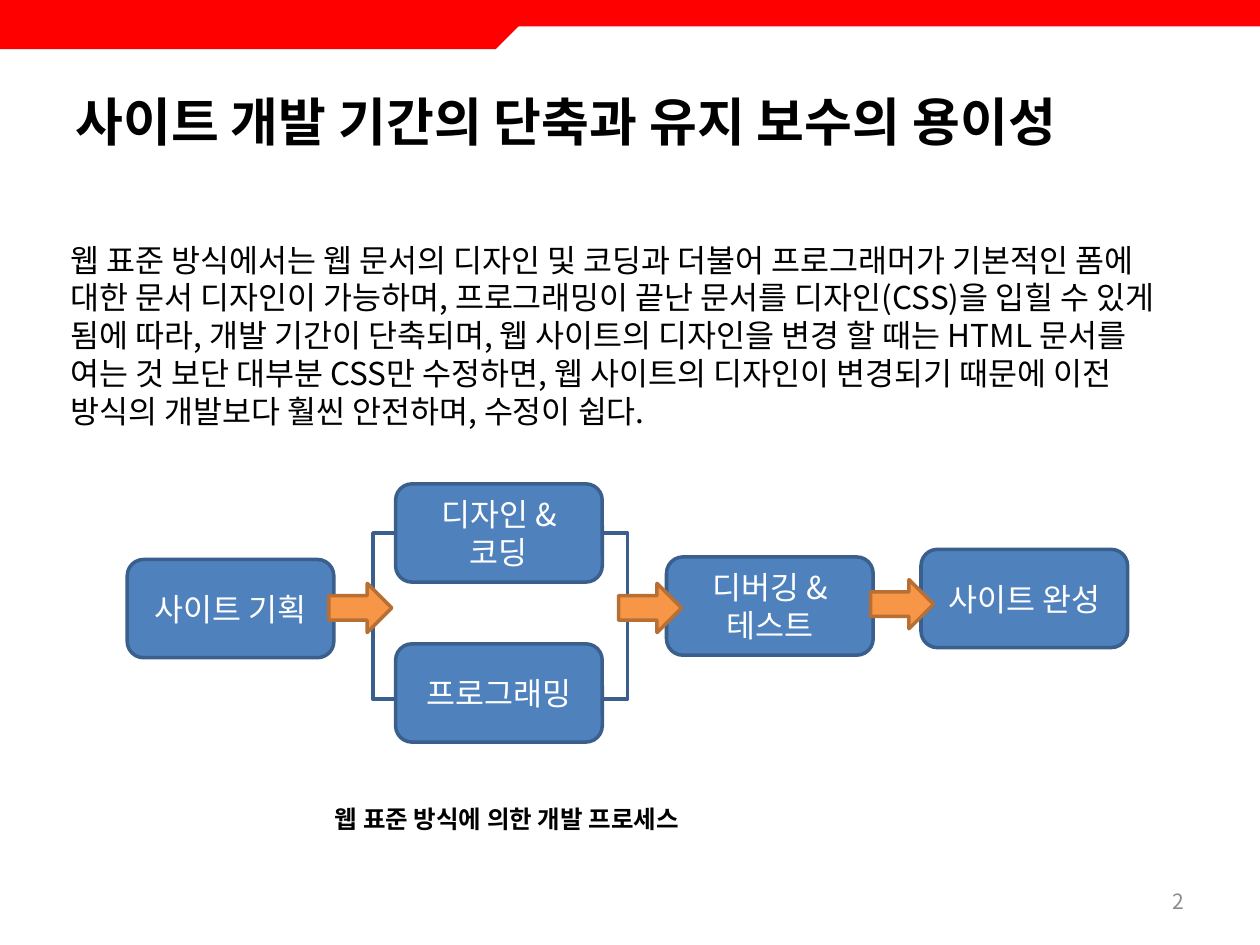
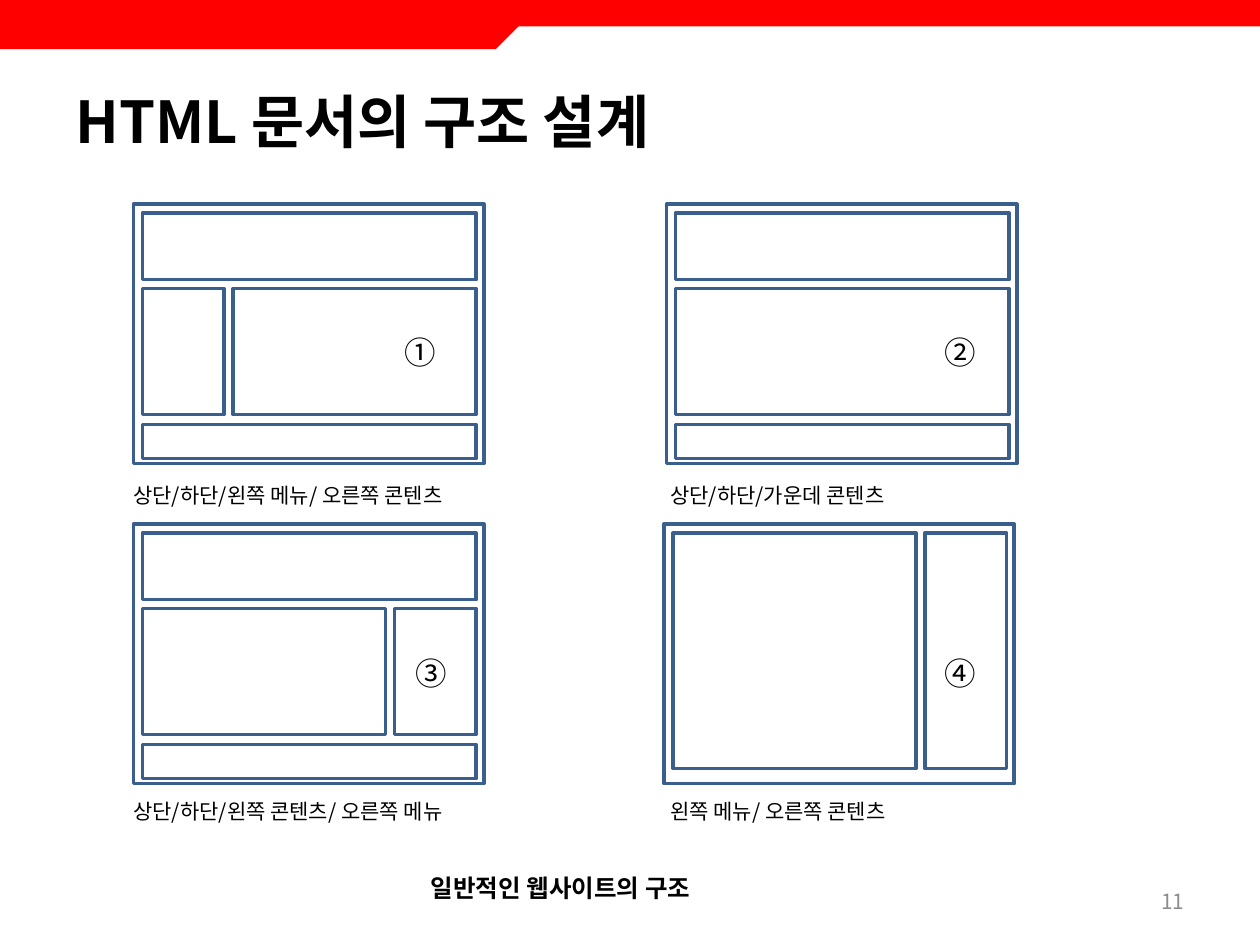
"""Build two slides on web-standard development and HTML page structure."""
from dataclasses import dataclass
from typing import NamedTuple, Optional

from lxml.etree import SubElement
from pptx import Presentation
from pptx.dml.color import RGBColor
from pptx.enum.shapes import MSO_SHAPE as Shape
from pptx.enum.text import MSO_ANCHOR as Anchor, MSO_AUTO_SIZE as AutoSize, PP_ALIGN as Align
from pptx.oxml.ns import qn
from pptx.util import Inches, Pt

CELL = 0.1
COLUMNS, ROWS = 100, 75


@dataclass(frozen=True)
class Theme:
    font: str = "Noto Sans CJK KR"
    band: str = "FF0000"
    ink: str = "000000"
    paper: str = "FFFFFF"
    muted: str = "8C8C8C"
    step: str = "4F81BD"
    outline: str = "3A5F8C"
    arrow: str = "F79646"
    arrow_outline: str = "B76F34"
    stroke: float = 2
    body: float = 18
    caption: float = 14
    small: float = 12


class Area(NamedTuple):
    col: float
    row: float
    cols: float
    rows: float

    def lengths(self) -> list:
        return [Inches(round(cells * CELL, 2)) for cells in self]


class Style(NamedTuple):
    size: float
    color: str
    bold: bool = False
    align: Align = Align.LEFT
    anchor: Anchor = Anchor.TOP


class Label(NamedTuple):
    text: str
    area: Area


class Wireframe(NamedTuple):
    col: float
    row: float
    panes: list
    number: Label
    caption: Label


THEME = Theme()
BODY = Style(THEME.body, THEME.ink)
SMALL = Style(THEME.small, THEME.ink)
CAPTION = Style(THEME.caption, THEME.ink, True)
CENTERED_CAPTION = CAPTION._replace(align=Align.CENTER)
STEP = Style(THEME.body, THEME.paper, False, Align.CENTER, Anchor.MIDDLE)
PAGE = Style(THEME.small, THEME.muted, False, Align.RIGHT, Anchor.MIDDLE)

TITLE_AREA = Area(5, 6, 90, 7.1)
PAGE_AREA = Area(71.7, 69.5, 23.3, 4)
TOP_BAND = Area(0, 0, COLUMNS, 2.1)
TAB_BAND = Area(0, 0, 41.3, 3.9)

STEP_COLS, STEP_ROWS = 16.4, 7.8
STEPS = [
    ("사이트 기획", 10.1, 44.4),
    ("디자인 & 코딩", 31.4, 38.4),
    ("프로그래밍", 31.4, 51.1),
    ("디버깅 & 테스트", 52.9, 44.2),
    ("사이트 완성", 73.1, 43.6),
]
ARROWS = [(26.1, 46.3), (49.1, 46.3), (69.1, 46)]
PARALLEL_LOOP = Area(29.6, 42.3, 20.2, 13.2)
EXPLANATION = Label(
    "웹 표준 방식에서는 웹 문서의 디자인 및 코딩과 더불어 프로그래머가 기본적인 폼에 "
    "대한 문서 디자인이 가능하며, 프로그래밍이 끝난 문서를 디자인(CSS)을 입힐 수 있게 "
    "됨에 따라, 개발 기간이 단축되며, 웹 사이트의 디자인을 변경 할 때는 HTML 문서를 여는 "
    "것 보단 대부분 CSS만 수정하면, 웹 사이트의 디자인이 변경되기 때문에 이전 방식의 "
    "개발보다 훨씬 안전하며, 수정이 쉽다.",
    Area(4.6, 18.6, 90.4, 16.2),
)

GAP = 0.7
FRAME_COLS, FRAME_ROWS = 27.8, 20.6
INNER = 26.5
MENU = 6.5
CONTENT = INNER - MENU - GAP
MIDDLE_ROW = 6.7
HEADER = Area(GAP, GAP, INNER, 5.3)
FOOTER = Area(GAP, 17.5, INNER, 2.7)


def split(row: float, rows: float, *widths: float) -> list[Area]:
    """Lay panes of the given widths side by side inside a frame."""
    panes, col = [], GAP
    for width in widths:
        panes.append(Area(col, row, width, rows))
        col += width + GAP
    return panes


def caption_at(text: str, col: float, row: float) -> Label:
    """Place a wireframe caption."""
    return Label(text, Area(col, row, 29.9, 3))


def number_at(text: str, col: float, row: float) -> Label:
    """Place a wireframe number."""
    return Label(text, Area(col, row, 4.7, 4))


WIREFRAMES = [
    Wireframe(10.6, 16.2, [HEADER, FOOTER, *split(MIDDLE_ROW, 10, MENU, CONTENT)],
              number_at("①", 31.1, 25.9),
              caption_at("상단/하단/왼쪽 메뉴/ 오른쪽 콘텐츠", 9.6, 37.8)),
    Wireframe(52.9, 16.2, [HEADER, FOOTER, *split(MIDDLE_ROW, 10, INNER)],
              number_at("②", 74, 25.9),
              caption_at("상단/하단/가운데 콘텐츠", 52.2, 37.8)),
    Wireframe(10.6, 41.6, [HEADER, FOOTER, *split(MIDDLE_ROW, 10, CONTENT, MENU)],
              number_at("③", 32, 51.4),
              caption_at("상단/하단/왼쪽 콘텐츠/ 오른쪽 메뉴", 9.6, 62.9)),
    Wireframe(52.7, 41.6, split(GAP, 18.7, CONTENT, MENU),
              number_at("④", 74, 51.4),
              caption_at("왼쪽 메뉴/ 오른쪽 콘텐츠", 52.2, 62.9)),
]


def write(frame, text: str, style: Style) -> None:
    """Write one styled run into a text frame."""
    frame.word_wrap = True
    frame.auto_size = AutoSize.NONE
    frame.vertical_anchor = style.anchor
    paragraph = frame.paragraphs[0]
    paragraph.alignment = style.align
    run = paragraph.add_run()
    run.text = text
    run.font.size = Pt(style.size)
    run.font.bold = style.bold
    run.font.color.rgb = RGBColor.from_string(style.color)
    run.font.name = THEME.font
    SubElement(run._r.get_or_add_rPr(), qn("a:ea"), typeface=THEME.font)


def add_label(slide, label: Label, style: Style) -> None:
    """Add a text box holding one label."""
    write(slide.shapes.add_textbox(*label.area.lengths()).text_frame, label.text, style)


def add_block(shapes, kind: Shape, area: Area, fill: Optional[str], line: Optional[str]):
    """Add a flat preset shape with an optional fill and outline."""
    block = shapes.add_shape(kind, *area.lengths())
    block.shadow.inherit = False
    if fill:
        block.fill.solid()
        block.fill.fore_color.rgb = RGBColor.from_string(fill)
    else:
        block.fill.background()
    if line:
        block.line.color.rgb = RGBColor.from_string(line)
        block.line.width = Pt(THEME.stroke)
    else:
        block.line.fill.background()
    return block


def move_bands_to_layout(slide) -> None:
    """Draw the red header bands and move them to the shared layout."""
    top = add_block(slide.shapes, Shape.RECTANGLE, TOP_BAND, THEME.band, None)
    tab = add_block(slide.shapes, Shape.SNIP_1_RECTANGLE, TAB_BAND, THEME.band, None)
    tab.adjustments[0] = 0.5
    tab._element.spPr.xfrm.set("flipV", "1")
    for position, band in enumerate((top, tab), start=2):
        slide.slide_layout.shapes._spTree.insert(position, band._element)


def add_titled_slide(deck, title: str, size: float, page: str):
    """Add a slide with its title and page number."""
    slide = deck.slides.add_slide(deck.slide_layouts[5])
    heading = slide.shapes.title
    heading.left, heading.top, heading.width, heading.height = TITLE_AREA.lengths()
    write(heading.text_frame, title, Style(size, THEME.ink, True, anchor=Anchor.MIDDLE))
    add_label(slide, Label(page, PAGE_AREA), PAGE)
    return slide


def draw_process(slide) -> None:
    """Draw the development process with its explanation."""
    add_block(slide.shapes, Shape.RECTANGLE, PARALLEL_LOOP, None, THEME.outline)
    for text, col, row in STEPS:
        step = add_block(slide.shapes, Shape.ROUNDED_RECTANGLE,
                         Area(col, row, STEP_COLS, STEP_ROWS), THEME.step, THEME.outline)
        write(step.text_frame, text, STEP)
    for col, row in ARROWS:
        add_block(slide.shapes, Shape.RIGHT_ARROW, Area(col, row, 5, 3.9),
                  THEME.arrow, THEME.arrow_outline)
    add_label(slide, Label("웹 표준 방식에 의한 개발 프로세스", Area(25.6, 63.3, 47.4, 3.4)), CAPTION)
    add_label(slide, EXPLANATION, BODY)


def draw_wireframe(slide, wireframe: Wireframe) -> None:
    """Draw one page structure with its number and caption."""
    group = slide.shapes.add_group_shape()
    for pane in [Area(0, 0, FRAME_COLS, FRAME_ROWS), *wireframe.panes]:
        area = pane._replace(col=wireframe.col + pane.col, row=wireframe.row + pane.row)
        add_block(group.shapes, Shape.RECTANGLE, area, THEME.paper, THEME.outline)
    add_label(slide, wireframe.number, BODY)
    add_label(slide, wireframe.caption, SMALL)


def main() -> None:
    """Build and save the deck."""
    deck = Presentation()
    deck.slide_width, deck.slide_height = Inches(COLUMNS * CELL), Inches(ROWS * CELL)

    process = add_titled_slide(deck, "사이트 개발 기간의 단축과 유지 보수의 용이성", 29.7, "2")
    move_bands_to_layout(process)
    draw_process(process)

    structure = add_titled_slide(deck, "HTML 문서의 구조 설계", 33, "11")
    for wireframe in WIREFRAMES:
        draw_wireframe(structure, wireframe)
    add_label(structure, Label("일반적인 웹사이트의 구조", Area(18.5, 68.8, 52, 3.4)), CENTERED_CAPTION)

    deck.save("out.pptx")


if __name__ == "__main__":
    main()
